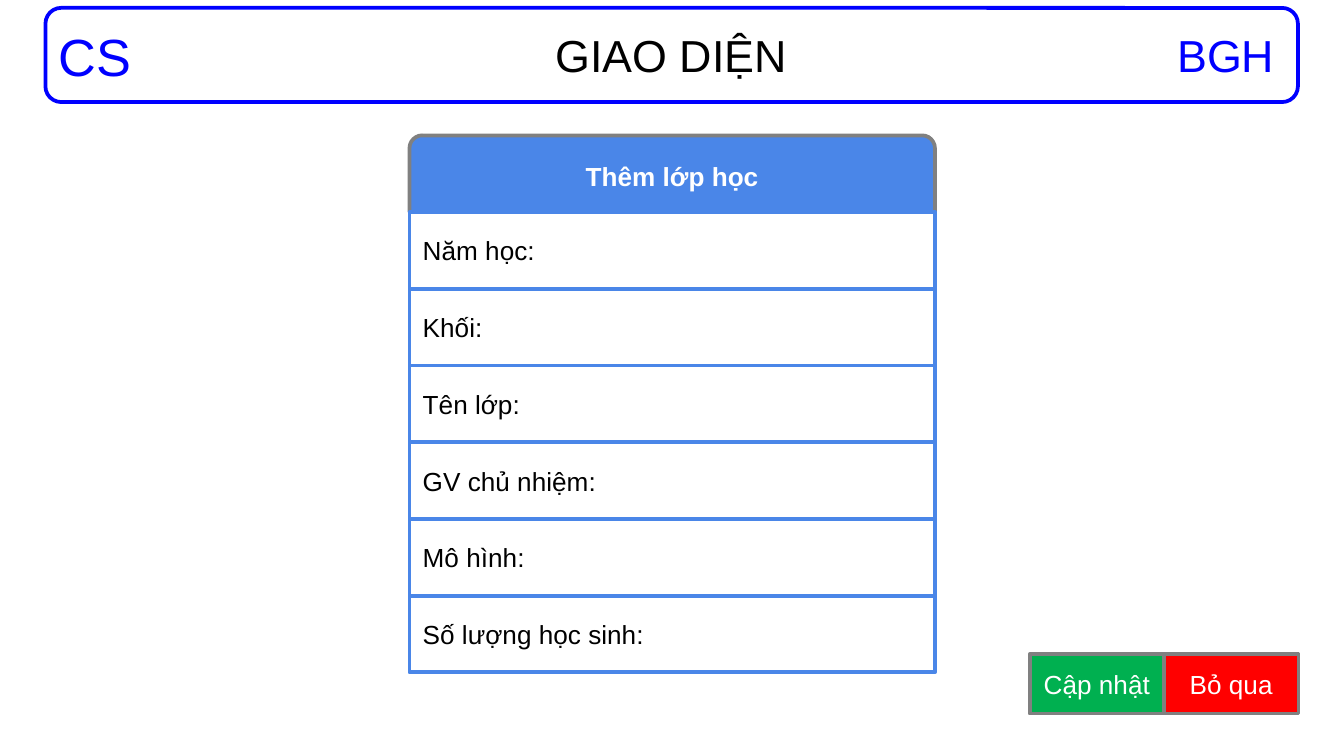
"""Build the "add class" form screen slide."""
from pptx import Presentation
from pptx.dml.color import RGBColor
from pptx.enum.shapes import MSO_SHAPE
from pptx.enum.text import MSO_ANCHOR, PP_ALIGN
from pptx.util import Cm, Pt

RECT = MSO_SHAPE.RECTANGLE
ROUNDED = MSO_SHAPE.ROUNDED_RECTANGLE
ROUNDED_TOP = MSO_SHAPE.ROUND_2_SAME_RECTANGLE
TOP, MIDDLE = MSO_ANCHOR.TOP, MSO_ANCHOR.MIDDLE
LEFT, CENTER = PP_ALIGN.LEFT, PP_ALIGN.CENTER

BLACK = RGBColor(0x00, 0x00, 0x00)
WHITE = RGBColor(0xFF, 0xFF, 0xFF)
GRAY = RGBColor(0x80, 0x80, 0x80)
BLUE = RGBColor(0x00, 0x00, 0xFF)
FORM_BLUE = RGBColor(0x4A, 0x86, 0xE8)
GREEN = RGBColor(0x00, 0xB0, 0x50)
RED = RGBColor(0xFF, 0x00, 0x00)

HEADER_BOX = (0.86, 0.15, 23.67, 1.78)
HEADER_LABELS = [
    ("CS", (0.86, 0.33, 7.75, 1.45), 28, BLUE, LEFT, TOP),
    ("BGH", (21.97, 0.15, 2.39, 1.78), 24, BLUE, CENTER, MIDDLE),
    ("GIAO DIỆN", (9.37, 0.15, 6.63, 1.78), 24, BLACK, CENTER, MIDDLE),
]
FORM_TITLE = "Thêm lớp học"
FIELDS = ["Năm học:", "Khối:", "Tên lớp:", "GV chủ nhiệm:", "Mô hình:", "Số lượng học sinh:"]
FORM_LEFT, FORM_TOP, FORM_WIDTH, ROW_HEIGHT = 7.74, 2.56, 9.93, 1.45
BUTTONS = [("Cập nhật", GREEN), ("Bỏ qua", RED)]
BUTTON_LEFT, BUTTON_TOP, BUTTON_WIDTH, BUTTON_HEIGHT = 19.46, 12.37, 2.54, 1.12


def write(box, text, size, color, align, anchor=MIDDLE, bold=False):
    frame = box.text_frame
    frame.word_wrap = True
    frame.vertical_anchor = anchor
    paragraph = frame.paragraphs[0]
    paragraph.text = text
    paragraph.alignment = align
    font = paragraph.font
    font.name, font.size, font.bold = "Arial", Pt(size), bold
    font.color.rgb = color


def add_box(slide, kind, place, line, fill=None):
    box = slide.shapes.add_shape(kind, *map(Cm, place))
    box.shadow.inherit = False
    box.line.color.rgb = line
    box.line.width = Pt(2)
    if fill is None:
        box.fill.background()
    else:
        box.fill.solid()
        box.fill.fore_color.rgb = fill
    return box


def add_header(slide):
    add_box(slide, ROUNDED, HEADER_BOX, BLUE)
    for text, place, size, color, align, anchor in HEADER_LABELS:
        label = slide.shapes.add_textbox(*map(Cm, place))
        write(label, text, size, color, align, anchor)


def add_form(slide):
    title_place = (FORM_LEFT, FORM_TOP, FORM_WIDTH, ROW_HEIGHT)
    title = add_box(slide, ROUNDED_TOP, title_place, GRAY, FORM_BLUE)
    write(title, FORM_TITLE, 14, WHITE, CENTER, bold=True)
    for row, text in enumerate(FIELDS, start=1):
        place = (FORM_LEFT, FORM_TOP + row * ROW_HEIGHT, FORM_WIDTH, ROW_HEIGHT)
        field = add_box(slide, RECT, place, FORM_BLUE)
        write(field, text, 14, BLACK, LEFT)


def add_buttons(slide):
    for column, (text, fill) in enumerate(BUTTONS):
        place = (BUTTON_LEFT + column * BUTTON_WIDTH, BUTTON_TOP, BUTTON_WIDTH, BUTTON_HEIGHT)
        button = add_box(slide, RECT, place, GRAY, fill)
        button.text_frame.margin_left = button.text_frame.margin_right = Cm(0.1)
        write(button, text, 14, WHITE, CENTER)


def main():
    deck = Presentation()
    deck.slide_width, deck.slide_height = Cm(25.4), Cm(14.29)
    slide = deck.slides.add_slide(deck.slide_layouts[6])
    add_header(slide)
    add_form(slide)
    add_buttons(slide)
    deck.save("out.pptx")


if __name__ == "__main__":
    main()
